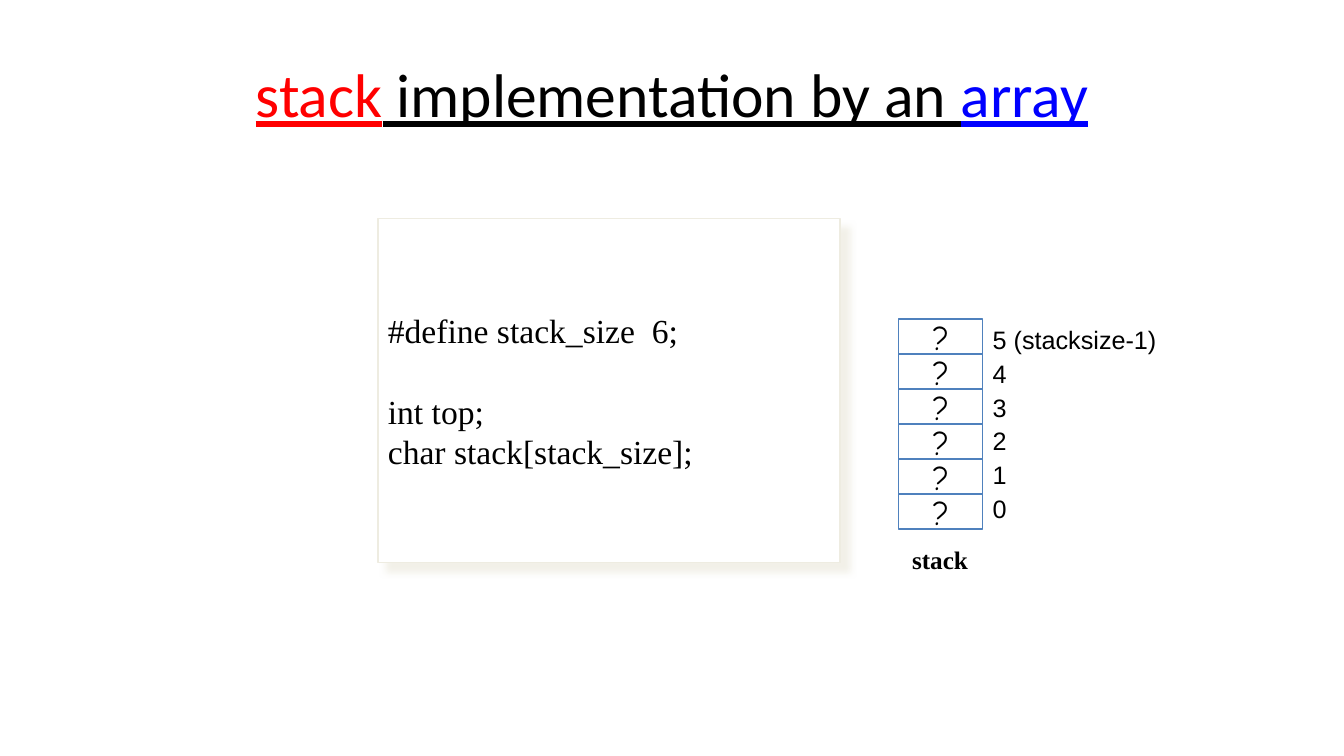
from lxml import etree
from pptx import Presentation
from pptx.dml.color import RGBColor
from pptx.enum.shapes import MSO_SHAPE as SHAPE
from pptx.enum.text import MSO_ANCHOR as ANCHOR, MSO_AUTO_SIZE as FIT, PP_ALIGN as ALIGN
from pptx.oxml import parse_xml
from pptx.util import Inches, Pt

BLACK = RGBColor(0x00, 0x00, 0x00)
WHITE = RGBColor(0xFF, 0xFF, 0xFF)
RED = RGBColor(0xFF, 0x00, 0x00)
BLUE = RGBColor(0x00, 0x00, 0xFF)
CELL_LINE = RGBColor(0x4F, 0x81, 0xBD)
CREAM = RGBColor(0xEE, 0xEC, 0xE1)

COLS, ROWS = 160, 90
UNIT = Inches(1 / 12)
STACK_SIZE = 6
A_NS = "http://schemas.openxmlformats.org/drawingml/2006/main"

TITLE = {"name": "Calibri", "size": Pt(44), "underline": True}
CODE = {"name": "Times New Roman", "size": Pt(24)}
CELL = {"name": "Comic Neue", "size": Pt(24)}
INDEX = {"name": "Arial", "size": Pt(18)}
CAPTION = {"name": "Times New Roman", "size": Pt(18), "bold": True}


def grid(*box):
    return [round(n * UNIT) for n in box]


def add_run(p, text, fmt, color=BLACK):
    r = p.add_run()
    r.text = text
    for key, value in fmt.items():
        setattr(r.font, key, value)
    r.font.color.rgb = color


def add_box(shapes, box, line):
    sp = shapes.add_shape(SHAPE.RECTANGLE, *grid(*box))
    sp.shadow.inherit = False
    sp.fill.solid()
    sp.fill.fore_color.rgb = WHITE
    sp.line.color.rgb = line
    sp.line.width = Pt(1)
    sp.text_frame.word_wrap = False
    sp.text_frame.vertical_anchor = ANCHOR.MIDDLE
    return sp


def add_label(shapes, box, text, fmt):
    tf = shapes.add_textbox(*grid(*box)).text_frame
    tf.word_wrap = False
    tf.auto_size = FIT.SHAPE_TO_FIT_TEXT
    add_run(tf.paragraphs[0], text, fmt)


def add_title(shapes, box):
    tf = shapes.add_textbox(*grid(*box)).text_frame
    tf.word_wrap = True
    tf.vertical_anchor = ANCHOR.MIDDLE
    p = tf.paragraphs[0]
    p.alignment = ALIGN.CENTER
    for text, color in (("stack", RED), (" implementation by an ", BLACK), ("array", BLUE)):
        add_run(p, text, TITLE, color)


def add_shadow(sp, color):
    effects = sp._element.spPr.find(f"{{{A_NS}}}effectLst")
    effects.append(parse_xml(
        f'<a:outerShdw xmlns:a="{A_NS}" blurRad="{Pt(5)}" dist="{Pt(8.5)}" '
        f'dir="2700000" algn="tl" rotWithShape="0"><a:srgbClr val="{color}">'
        '<a:alpha val="75000"/></a:srgbClr></a:outerShdw>'))


def add_code(shapes, box):
    sp = add_box(shapes, box, CREAM)
    add_shadow(sp, CREAM)
    tf = sp.text_frame
    lines = (("#define stack_size  6;", 0), ("int top;", 29), ("char stack[stack_size];", 0))
    for i, (text, gap) in enumerate(lines):
        p = tf.add_paragraph() if i else tf.paragraphs[0]
        p.alignment = ALIGN.LEFT
        p.space_before = Pt(gap)
        add_run(p, text, CODE)


def add_stack(shapes, box):
    left, top, width, height = box
    cell_h = height / STACK_SIZE
    cells = shapes.add_group_shape().shapes
    for row in range(STACK_SIZE):
        sp = add_box(cells, (left, top + row * cell_h, width, cell_h), CELL_LINE)
        p = sp.text_frame.paragraphs[0]
        p.alignment = ALIGN.CENTER
        add_run(p, "?", CELL)
    for row in range(STACK_SIZE):
        index = STACK_SIZE - 1 - row
        text, label_w = (f"{index}", 4) if row else (f"{index} (stacksize-1)", 22)
        add_label(shapes, (left + width, top + row * 4.03, label_w, 4.8), text, INDEX)
    add_label(shapes, (left + 0.4, top + height + 1.2, width - 0.6, 4.8), "stack", CAPTION)


def main():
    prs = Presentation()
    prs.slide_width, prs.slide_height = grid(COLS, ROWS)
    shapes = prs.slides.add_slide(prs.slide_layouts[6]).shapes
    add_code(shapes, (45, 26, 55, 41))
    add_title(shapes, (8, 3.6, 144, 15))
    add_stack(shapes, (107, 38, 10, 25))
    prs.save("out.pptx")


if __name__ == "__main__":
    main()
